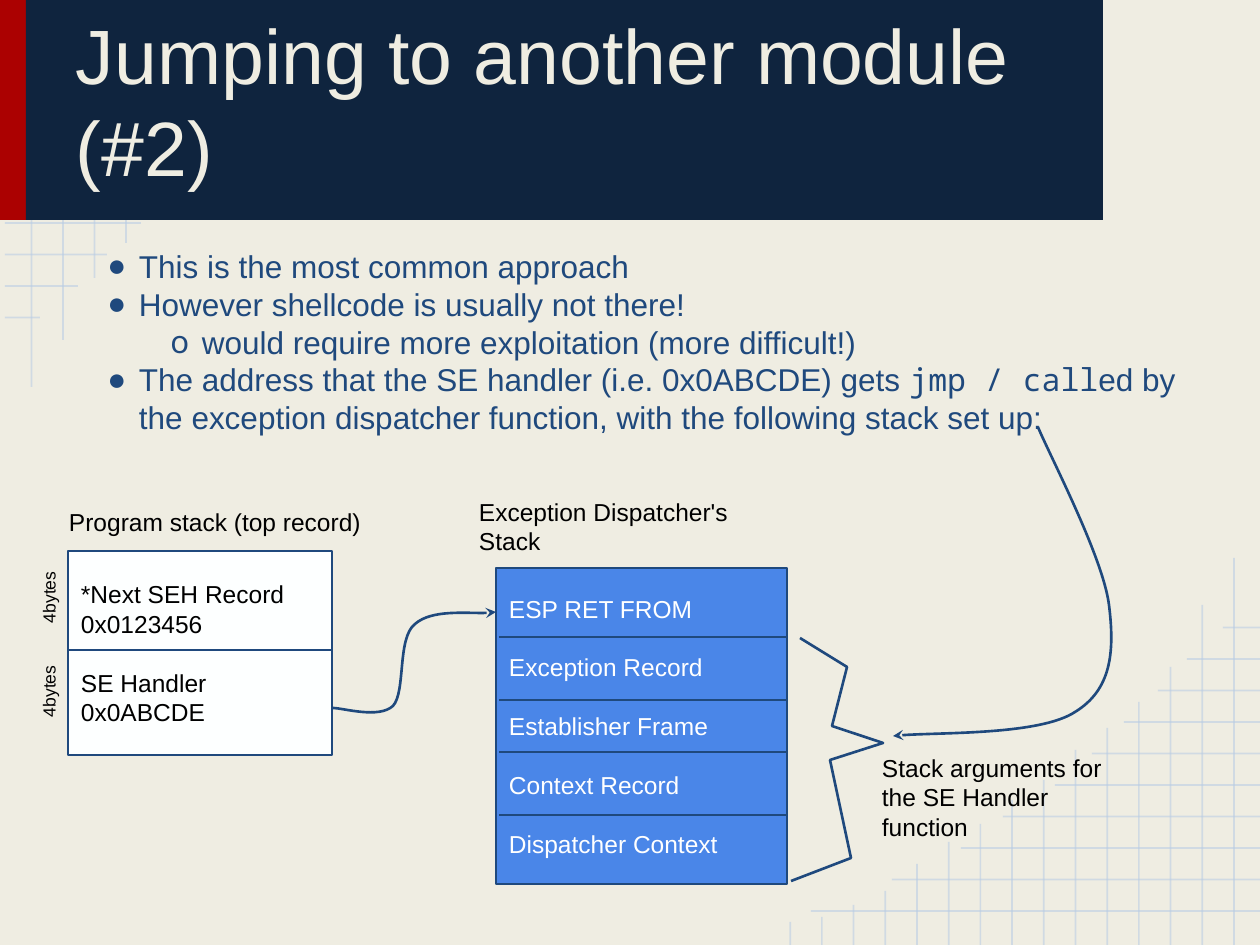
from lxml.etree import SubElement
from pptx import Presentation
from pptx.dml.color import RGBColor
from pptx.enum.shapes import MSO_CONNECTOR as Connector, MSO_SHAPE as Preset
from pptx.enum.text import MSO_ANCHOR as Anchor, MSO_AUTO_SIZE as AutoSize, PP_ALIGN as Align
from pptx.oxml.ns import qn
from pptx.util import Emu, Inches, Pt

SCALE = 914400 / 126
CREAM, NAVY, RED = "EFEDE2", "0F243E", "AB0101"
BLUE, SKY, GRID = "1F497D", "4A86E8", "B7CCE4"
BLACK, WHITE, PAPER = "000000", "FFFFFF", "FDFFFF"
MONO = "Noto Sans Mono"


def px(length):
    """Turn pixels into EMU."""
    return Emu(round(length * SCALE))


def rgb(value):
    """Turn a hex string into a colour."""
    return RGBColor.from_string(value)


def add_xml(parent, tag, **attributes):
    """Append a drawing element with its attributes."""
    return SubElement(parent, qn("a:" + tag), attributes)


def write(box, paragraphs, size=14, color=BLACK, font="Arial", anchor=Anchor.TOP, gaps=()):
    """Fill a box with paragraphs, each a string or a list of (text, font) spans."""
    frame = box.text_frame
    frame.word_wrap, frame.auto_size = True, AutoSize.NONE
    frame.vertical_anchor = anchor
    frame.margin_left = frame.margin_right = px(13)
    frame.margin_top = frame.margin_bottom = px(13)
    for index, spans in enumerate(paragraphs):
        para = frame.paragraphs[0] if index == 0 else frame.add_paragraph()
        para.alignment = Align.LEFT
        para.space_before = Pt(size * 1.2 if index in gaps else 0)
        for text, face in [(spans, font)] if isinstance(spans, str) else spans:
            span = para.add_run()
            span.text = text
            span.font.size, span.font.name = Pt(size), face
            span.font.color.rgb = rgb(color)
    return frame


def add_bullet(para, level):
    """Give a paragraph the bullet and indent of its level."""
    para.level = level
    properties = para._p.get_or_add_pPr()
    properties.set("marL", str(px(63 * (level + 1))))
    properties.set("indent", str(-px(31.5)))
    add_xml(add_xml(properties, "buClr"), "srgbClr", val=BLUE)
    add_xml(properties, "buFont", typeface=("Arial", MONO)[level])
    add_xml(properties, "buChar", char="●o"[level])


class SlideBuilder:
    """Hold the line style and the current slide."""

    def __init__(self, page, line_color=BLUE, line_width=1.5):
        """Set the page, its background and the line style."""
        self.page, self.shapes = page, page.shapes
        self.line_color, self.line_width = line_color, line_width
        page.background.fill.solid()
        page.background.fill.fore_color.rgb = rgb(CREAM)

    def stroke(self, shape):
        """Apply the line style to a shape."""
        shape.line.color.rgb = rgb(self.line_color)
        shape.line.width = Pt(self.line_width)

    def rect(self, left, top, width, height, fill, outlined=False):
        """Draw a filled rectangle."""
        shape = self.shapes.add_shape(Preset.RECTANGLE, *map(px, (left, top, width, height)))
        shape.shadow.inherit = False
        shape.fill.solid()
        shape.fill.fore_color.rgb = rgb(fill)
        if outlined:
            self.stroke(shape)
        else:
            shape.line.fill.background()
        return shape

    def line(self, x1, y1, x2, y2):
        """Draw a straight line."""
        line = self.shapes.add_connector(Connector.STRAIGHT, *map(px, (x1, y1, x2, y2)))
        add_xml(line._element.spPr, "effectLst")
        self.stroke(line)
        return line

    def grid_line(self, *ends):
        """Draw a thin translucent background line."""
        line = self.line(*ends)
        line.line.color.rgb = rgb(GRID)
        line.line.width = Pt(1)
        add_xml(line._element.spPr.find(".//" + qn("a:srgbClr")), "alpha", val="54000")

    def outline(self, *points, curved=False):
        """Draw an open path; a curved one has Bezier points and an arrowhead."""
        builder = self.shapes.build_freeform(*points[0], scale=SCALE)
        builder.add_line_segments(points[1:], close=False)
        shape = builder.convert_to_shape()
        shape.shadow.inherit = False
        shape.fill.background()
        self.stroke(shape)
        if curved:
            track = shape._element.spPr.find(".//" + qn("a:path"))
            steps = track.findall(qn("a:lnTo"))
            for start in range(0, len(steps), 3):
                curve = add_xml(track, "cubicBezTo")
                for step in steps[start:start + 3]:
                    curve.append(step[0])
                    track.remove(step)
            add_xml(shape.line._get_or_add_ln(), "tailEnd", type="stealth")

    def label(self, text, left, top, width, height, rotation=0, **style):
        """Add a free text box."""
        box = self.shapes.add_textbox(*map(px, (left, top, width, height)))
        box.rotation = rotation
        write(box, [text], **style)

    def placeholder(self, index, left, top, width, height, paragraphs, **style):
        """Move a placeholder to the front of the page and fill it."""
        box = self.page.placeholders[index]
        box.left, box.top, box.width, box.height = map(px, (left, top, width, height))
        self.page.shapes._spTree.append(box._element)
        return write(box, paragraphs, **style)


deck = Presentation()
deck.slide_width, deck.slide_height = Inches(10), Inches(7.5)
slide = SlideBuilder(deck.slides.add_slide(deck.slide_layouts[1]))

# Background grids in two corners
for row, right in enumerate((141, 107, 78, 40)):
    slide.grid_line(5, 223 + row * 31.5, right, 223 + row * 31.5)
for column, bottom in enumerate((387, 340, 278, 243), 1):
    slide.grid_line(column * 31.5, bottom, column * 31.5, 220)
for row, left in enumerate((811, 892, 961, 1003, 1055, 1092, 1124, 1158, 1187, 1223)):
    slide.grid_line(1260, 911 - row * 31.5, left, 911 - row * 31.5)
for column, top in enumerate((558, 605, 667, 702, 728, 750, 780, 800,
                              824, 842, 864, 891, 905, 917, 922)):
    x = 1234 - column * 31.7
    slide.grid_line(x, top, x, 945)

# Title band and text
slide.rect(0, 0, 26, 220, RED)
slide.rect(26, 0, 1077, 220, NAVY)
slide.placeholder(0, 63, 19, 1008, 186, ["Jumping to another module", "(#2)"],
                  size=44, color=CREAM, anchor=Anchor.BOTTOM)
points = slide.placeholder(1, 63, 234, 1134, 667, [
    "This is the most common approach",
    "However shellcode is usually not there!",
    "would require more exploitation (more difficult!)",
    [("The address that the SE handler (i.e. 0x0ABCDE) gets ", "Arial"),
     ("jmp / call", MONO),
     ("ed by the exception dispatcher function, with the following stack set up:", "Arial")],
], size=18, color=BLUE)
for para, level in zip(points.paragraphs, (0, 0, 1, 0)):
    add_bullet(para, level)

# Exception dispatcher's stack
dispatcher_stack = slide.rect(496, 568, 291, 316, SKY, outlined=True)
write(dispatcher_stack, ["ESP RET FROM", "Exception Record", "Establisher Frame",
                         "Context Record", "Dispatcher Context"],
      color=WHITE, anchor=Anchor.MIDDLE, gaps=(1, 2, 3, 4))
slide.label("Exception Dispatcher's Stack", 466, 484, 318, 81)
for y in (637, 700, 752, 815):
    slide.line(499, y, 788, y)

# Program stack
program_stack = slide.rect(68, 551, 264, 204, PAPER, outlined=True)
write(program_stack, ["*Next SEH Record", "0x0123456", "SE Handler", "0x0ABCDE"],
      anchor=Anchor.MIDDLE, gaps=(2,))
slide.line(68, 650, 333, 650)
slide.label("Program stack (top record)", 56, 494, 330, 81)

# Arrows and brace
slide.outline((333, 708), (343, 708), (379, 719), (393, 706), (406, 692), (397, 638),
              (415, 624), (432, 609), (483, 615), (496, 612), curved=True)
slide.outline((1038, 427), (1050, 456), (1103, 557), (1109, 605), (1115, 653), (1111, 690),
              (1075, 712), (1040, 735), (924, 732), (893, 736), curved=True)
slide.outline((800, 638), (847, 667), (832, 726), (883, 743), (830, 760), (851, 858), (791, 881))

slide.label("Stack arguments for the SE Handler function", 869, 740, 252, 92)
for top in (575, 669):
    slide.label("4bytes", -8, top, 94, 28, rotation=270, size=10)

deck.save("out.pptx")
